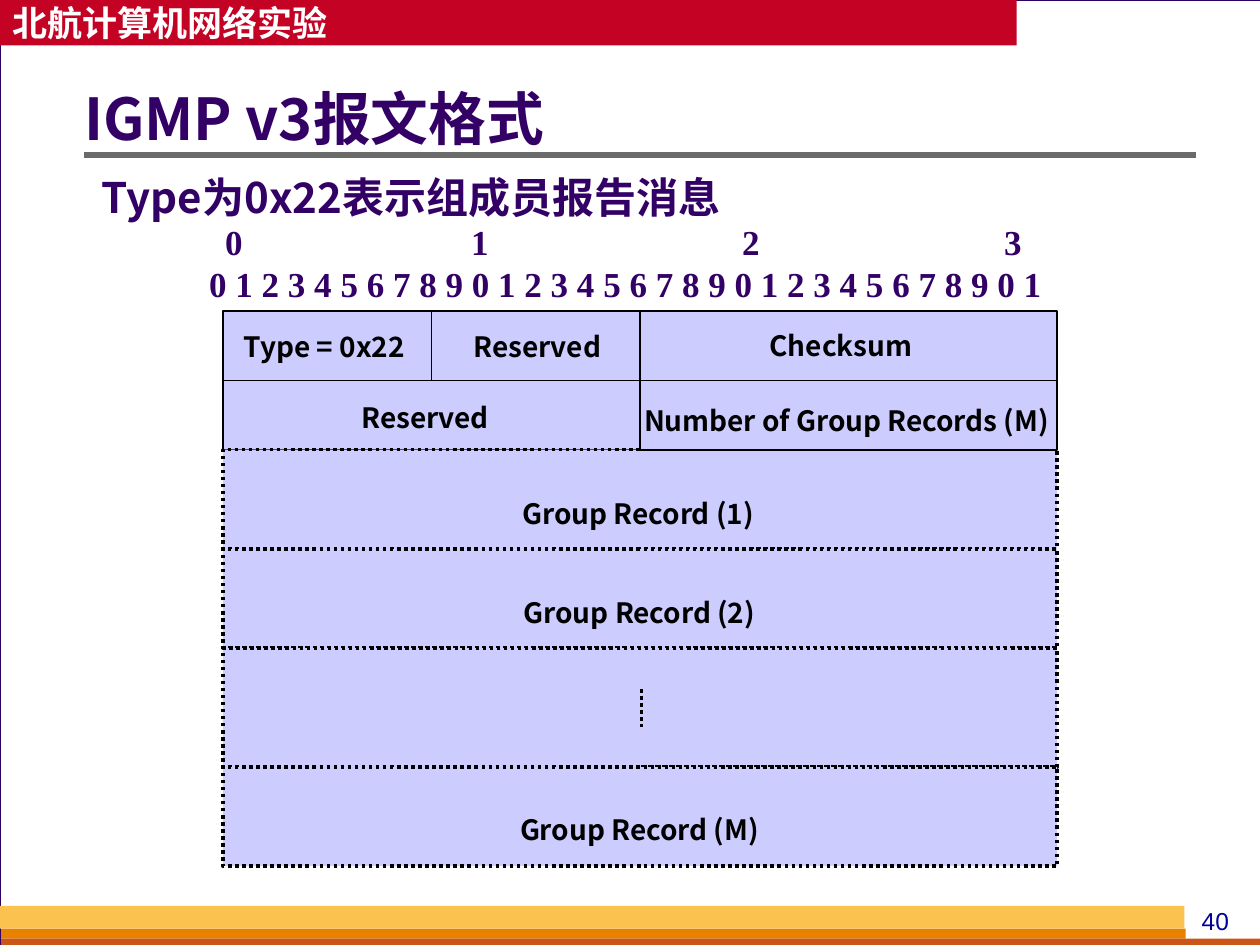
from lxml.etree import SubElement
from pptx import Presentation
from pptx.dml.color import RGBColor
from pptx.enum.dml import MSO_LINE
from pptx.enum.shapes import MSO_CONNECTOR, MSO_SHAPE
from pptx.enum.text import MSO_ANCHOR, PP_ALIGN
from pptx.oxml.ns import qn
from pptx.util import Pt

WHITE = RGBColor(0xFF, 0xFF, 0xFF)
BLACK = RGBColor(0, 0, 0)
PURPLE = RGBColor(0x33, 0x00, 0x66)
RED = RGBColor(0xC3, 0x02, 0x24)
GOLD = RGBColor(0xFC, 0xC2, 0x4F)
ORANGE = RGBColor(0xE8, 0x80, 0x00)
RUST = RGBColor(0xC9, 0x56, 0x16)
NAVY = RGBColor(0x00, 0x00, 0x99)
GREY = RGBColor(0x6B, 0x6B, 0x6B)
LILAC = RGBColor(0xCC, 0xCC, 0xFF)
PALE = RGBColor(0xD8, 0xDA, 0xDA)
SANS = "Noto Sans CJK SC"

deck = Presentation()
deck.slide_width, deck.slide_height = Pt(720), Pt(540)
slide = deck.slides.add_slide(deck.slide_layouts[6])
slide.background.fill.solid()
slide.background.fill.fore_color.rgb = PALE


def add_rect(x, y, w, h, fill, line=None, width=1, dash=None):
    rect = slide.shapes.add_shape(MSO_SHAPE.RECTANGLE, Pt(x), Pt(y), Pt(w), Pt(h))
    rect.shadow.inherit = False
    rect.fill.solid()
    rect.fill.fore_color.rgb = fill
    if line is None:
        rect.line.fill.background()
    else:
        rect.line.color.rgb = line
        rect.line.width = Pt(width)
        rect.line.dash_style = dash


def add_text(x, y, w, h, lines, size, color, align=PP_ALIGN.CENTER,
             face=SANS, bold=True, anchor=MSO_ANCHOR.TOP, tabs=()):
    frame = slide.shapes.add_textbox(Pt(x), Pt(y), Pt(w), Pt(h)).text_frame
    frame.word_wrap = True
    frame.vertical_anchor = anchor
    frame.text = lines
    for para in frame.paragraphs:
        para.alignment = align
        if "\t" in para.text:
            para.alignment = PP_ALIGN.LEFT
            stops = SubElement(para._p.get_or_add_pPr(), qn("a:tabLst"))
            for pos in tabs:
                SubElement(stops, qn("a:tab"), pos=str(Pt(pos)), algn="ctr")
        font = para.font
        font.size, font.bold, font.name = Pt(size), bold, face
        font.color.rgb = color
        SubElement(font._rPr, qn("a:ea"), typeface=face)
    return frame


# Page frame, top banner and footer bars
add_rect(0, 0, 720.7, 540, WHITE, PURPLE, 0.75)
add_rect(0, 0, 581, 26, RED)
add_text(0, 0, 581, 26, "北航计算机网络实验", 20, WHITE, PP_ALIGN.LEFT,
         anchor=MSO_ANCHOR.MIDDLE)
add_rect(0.7, 530.6, 676.8, 5.8, ORANGE)
add_rect(0.7, 536.4, 720, 5.8, RUST)
add_rect(0, 517.7, 676.8, 13, GOLD)
add_text(671.8, 514.1, 45.4, 24.5, "40", 14, NAVY, face="Arial", bold=False)

# Title and heading
title = add_text(48.2, 33.1, 635, 72.7, "IGMP v3报文格式", 33, PURPLE,
                 PP_ALIGN.LEFT, anchor=MSO_ANCHOR.MIDDLE)
title.margin_left = 0
title.paragraphs[0].line_spacing = 0.9
add_text(38.4, 94.3, 393, 36, "Type为0x22表示组成员报告消息", 24, PURPLE)

# Bit ruler: tens above, units below
units = " ".join(str(bit % 10) for bit in range(32))
add_text(99.4, 122.4, 516.2, 55.4, "\t0\t1\t2\t3\n" + units, 20, PURPLE,
         face="Times New Roman", anchor=MSO_ANCHOR.MIDDLE,
         tabs=(27.1, 167.7, 322.6, 472.3))

# Message fields: first byte, byte count, top, height, dotted
LEFT, BYTE = 127.4, 119.2
fields = [
    (1, 1, 177.8, 39.6, False),
    (0, 1, 177.8, 39.6, False),
    (0, 2, 217.4, 39.6, False),
    (2, 2, 177.8, 39.6, False),
    (0, 4, 257, 56.8, True),
    (2, 2, 217.4, 39.6, False),
    (0, 4, 313.8, 56.6, True),
    (0, 4, 370.4, 68, True),
    (0, 4, 438.4, 56.6, True),
]
for first, count, top, high, dotted in fields:
    add_rect(LEFT + first * BYTE, top, count * BYTE, high, LILAC, BLACK,
             2 if dotted else 1, MSO_LINE.ROUND_DOT if dotted else None)

# Field labels: centre, top, text
labels = [
    (187.2, 185, "Type = 0x22 "),
    (308.9, 185, "Reserved "),
    (482.4, 184.3, "Checksum "),
    (244.8, 225.4, "Reserved "),
    (483.8, 226.8, "Number of Group Records (M)"),
    (364.7, 280.1, "Group Record (1)"),
    (365.4, 337, "Group Record (2)"),
    (365.4, 460.8, "Group Record (M)"),
]
for mid, top, text in labels:
    wide = 274 if len(text) > 20 else 168 if "Group" in text else 130
    add_text(mid - wide / 2, top, wide, 26.6, text, 16, BLACK)

# Title rule and the dots for the records between
for x1, y1, x2, y2, color, width, dash in [
    (48.2, 88.6, 683.3, 88.6, GREY, 3, None),
    (366.5, 393.8, 366.5, 415.4, BLACK, 2, MSO_LINE.ROUND_DOT),
]:
    rule = slide.shapes.add_connector(MSO_CONNECTOR.STRAIGHT,
                                      Pt(x1), Pt(y1), Pt(x2), Pt(y2))
    rule.line.color.rgb = color
    rule.line.width = Pt(width)
    rule.line.dash_style = dash
    SubElement(rule._element.spPr, qn("a:effectLst"))

deck.save("out.pptx")
